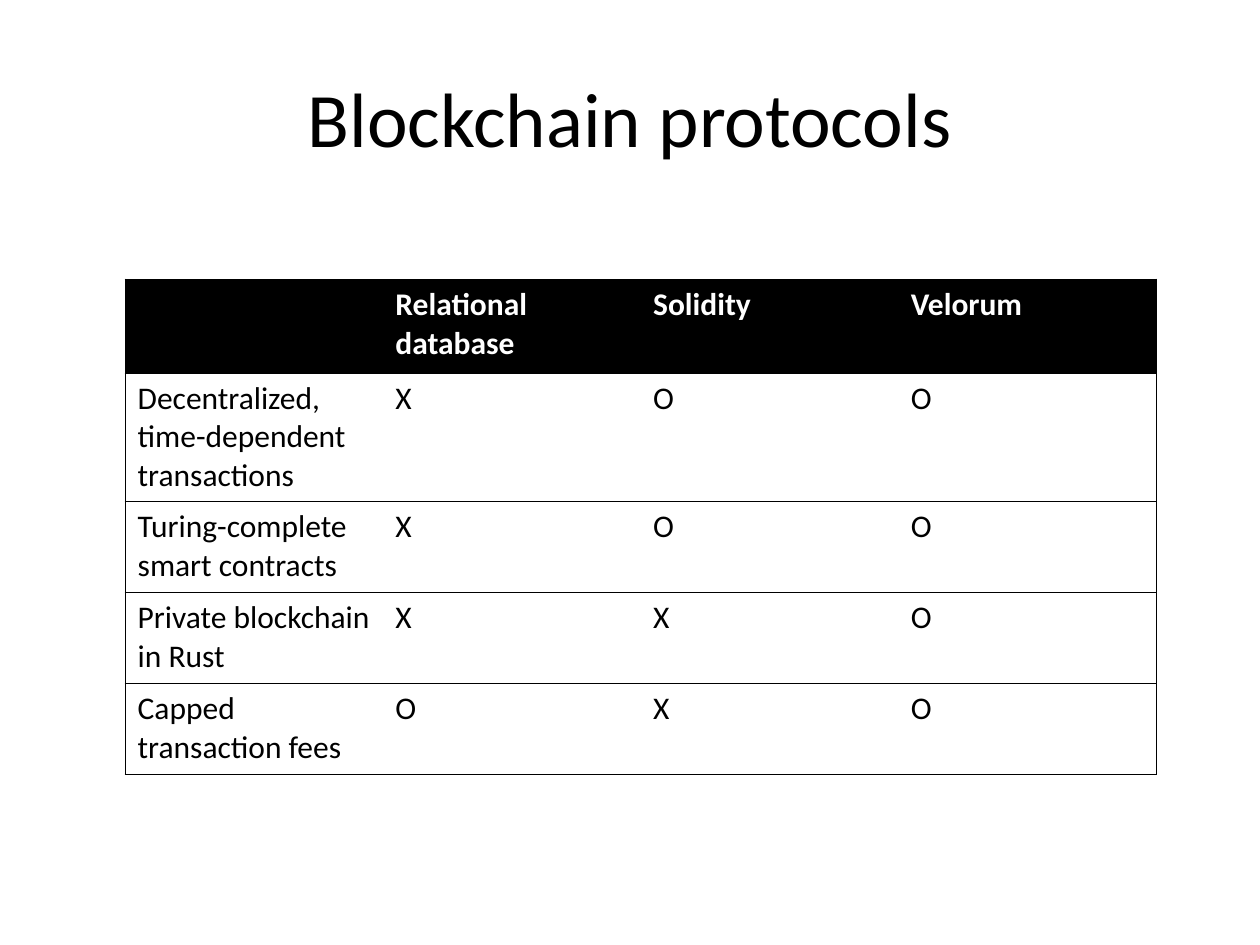
from typing import NamedTuple

from lxml import etree
from pptx import Presentation
from pptx import util as u
from pptx.dml.color import RGBColor
from pptx.enum import text
from pptx.oxml import ns

BLACK, WHITE = "000000", "FFFFFF"
COL_WIDTH = 147.3


class Row(NamedTuple):
    """One table row: its height in points and its cell texts."""
    height: float
    cells: tuple[str, ...]


ROWS = [
    Row(53.7, ("", "Relational database", "Solidity", "Velorum")),
    Row(73.2, ("Decentralized, time-dependent transactions", "X", "O", "O")),
    Row(52, ("Turing-complete smart contracts", "X", "O", "O")),
    Row(52, ("Private blockchain in Rust", "X", "X", "O")),
    Row(52, ("Capped transaction fees", "O", "X", "O")),
]


def rgb(color: str) -> RGBColor:
    """Turn a hex string into a colour."""
    return RGBColor.from_string(color)


def write(tf, words: str, *, size: float = 18, color: str = BLACK,
          bold: bool = False, align=text.PP_ALIGN.LEFT) -> None:
    """Put one formatted run into a text frame."""
    p = tf.paragraphs[0]
    p.alignment = align
    r = p.add_run()
    r.text = words
    r.font.name = "Calibri"
    r.font.size = u.Pt(size)
    r.font.bold = bold
    r.font.color.rgb = rgb(color)


def set_borders(cell, sides: str, color: str = BLACK, width: float = 0.75) -> None:
    """Draw the named sides (from LRTB) of a cell and clear the others."""
    tc_pr = cell._tc.get_or_add_tcPr()
    for side in "LRTB":
        ln = etree.SubElement(tc_pr, ns.qn(f"a:ln{side}"), w=str(u.Pt(width)))
        if side in sides:
            fill = etree.SubElement(ln, ns.qn("a:solidFill"))
            etree.SubElement(fill, ns.qn("a:srgbClr"), val=color)
        else:
            etree.SubElement(ln, ns.qn("a:noFill"))


def add_title(s, words: str) -> None:
    """Add the centred slide title."""
    sp = s.shapes.add_textbox(u.Pt(36), u.Pt(21.6), u.Pt(648), u.Pt(90))
    tf = sp.text_frame
    tf.word_wrap = True
    tf.vertical_anchor = text.MSO_ANCHOR.MIDDLE
    write(tf, words, size=44, align=text.PP_ALIGN.CENTER)


def add_comparison(s, rows: list[Row], left: float, top: float) -> None:
    """Add the table with a black header and ruled rows."""
    n_cols = len(rows[0].cells)
    tbl = s.shapes.add_table(
        len(rows), n_cols, u.Pt(left), u.Pt(top), u.Pt(n_cols * COL_WIDTH),
        u.Pt(sum(row.height for row in rows))).table
    tbl.first_row = True
    tbl.horz_banding = False
    for col in tbl.columns:
        col.width = u.Pt(COL_WIDTH)
    for i, row in enumerate(rows):
        tbl.rows[i].height = u.Pt(row.height)
        header = i == 0
        for j, words in enumerate(row.cells):
            cell = tbl.cell(i, j)
            sides = "TB" + "L" * (j == 0) + "R" * (j == n_cols - 1)
            set_borders(cell, sides)
            if header:
                cell.fill.solid()
                cell.fill.fore_color.rgb = rgb(BLACK)
            else:
                cell.fill.background()
            if words:
                write(cell.text_frame, words, bold=header,
                      color=WHITE if header else BLACK)


def main() -> None:
    """Build and save the slide."""
    prs = Presentation()
    prs.slide_width, prs.slide_height = u.Pt(720), u.Pt(540)
    s = prs.slides.add_slide(prs.slide_layouts[6])
    add_title(s, "Blockchain protocols")
    add_comparison(s, ROWS, 71.5, 159.6)
    prs.save("out.pptx")


main()
